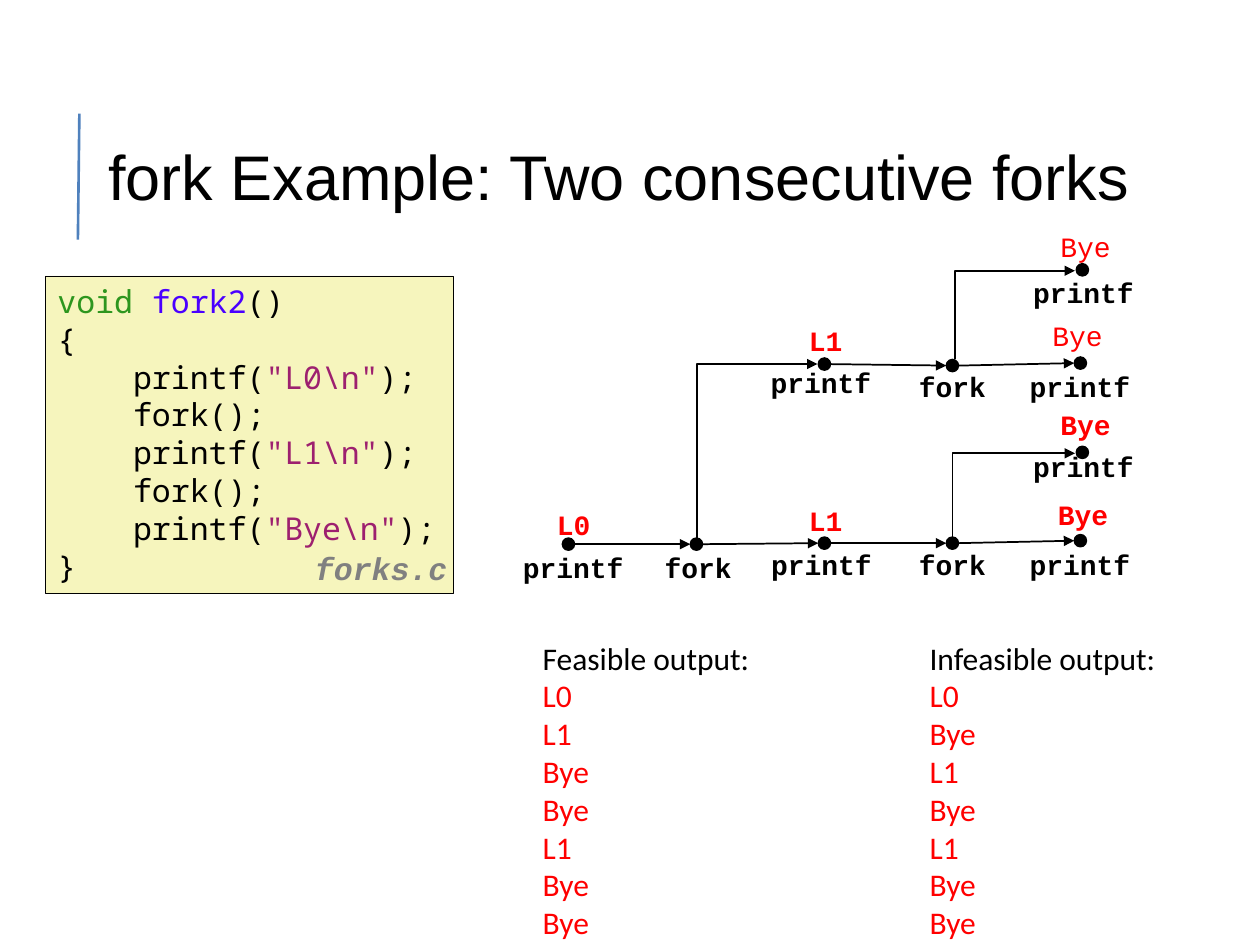
from lxml import etree
from pptx import Presentation
from pptx.dml.color import RGBColor
from pptx.enum.shapes import MSO_CONNECTOR as CONN, MSO_SHAPE as SHAPE
from pptx.enum.text import MSO_ANCHOR as ANCHOR, MSO_AUTO_SIZE as AUTO, PP_ALIGN as ALIGN
from pptx.oxml.ns import qn
from pptx.util import Cm, Pt

COLORS = {
    "black": "000000", "red": "FF0000", "grey": "808080", "accent": "4F81BD",
    "paper": "F6F5BD", "keyword": "2D961E", "name": "4A00FF", "string": "9D206F",
}
FORMATS = {
    "title": {"name": "Arial", "size": Pt(36)},
    "code": {"name": "Noto Sans Mono", "size": Pt(18)},
    "label": {"name": "Courier New", "size": Pt(16), "bold": True},
    "plain": {"name": "Courier New", "size": Pt(16), "bold": False},
    "file": {"name": "Courier New", "size": Pt(18), "bold": True, "italic": True},
    "output": {"name": "Calibri", "size": Pt(18)},
}
DOT = 0.25


def rgb(color):
    return RGBColor.from_string(COLORS[color])


class Deck:
    def __init__(self):
        self.prs = Presentation()
        self.prs.slide_width, self.prs.slide_height = Cm(25.4), Cm(19.05)
        self.s = self.prs.slides.add_slide(self.prs.slide_layouts[5])

    def fill_text(self, tf, lines, fmt, align=ALIGN.LEFT, spacing=None):
        """Each line is a list of (text, color) runs."""
        for i, line in enumerate(lines):
            p = tf.add_paragraph() if i else tf.paragraphs[0]
            p.alignment = align
            if spacing:
                p.line_spacing = spacing
            for text, color in line:
                r = p.add_run()
                r.text = text
                for key, value in FORMATS[fmt].items():
                    setattr(r.font, key, value)
                r.font.color.rgb = rgb(color)

    def title(self, text, *box):
        sp = self.s.shapes.title
        sp.left, sp.top, sp.width, sp.height = map(Cm, box)
        tf = sp.text_frame
        tf.margin_left = tf.margin_right = tf.margin_top = tf.margin_bottom = 0
        tf.vertical_anchor, tf.auto_size = ANCHOR.MIDDLE, AUTO.NONE
        self.fill_text(tf, [[(text, "black")]], "title", spacing=0.9)

    def text(self, lines, box, fmt, **style):
        sp = self.s.shapes.add_textbox(*map(Cm, box))
        tf = sp.text_frame
        tf.word_wrap, tf.auto_size = False, AUTO.SHAPE_TO_FIT_TEXT
        self.fill_text(tf, lines, fmt, **style)

    def label(self, text, left, top, width, color="black", fmt="label"):
        self.text([[(text, color)]], (left, top, width, 0.94), fmt, align=ALIGN.CENTER)

    def shape(self, kind, box, fill, weight):
        sp = self.s.shapes.add_shape(kind, *map(Cm, box))
        sp.shadow.inherit = False
        sp.fill.solid()
        sp.fill.fore_color.rgb = rgb(fill)
        sp.line.color.rgb = rgb("black")
        sp.line.width = Pt(weight)
        return sp

    def code(self, lines, *box):
        tf = self.shape(SHAPE.RECTANGLE, box, "paper", 0.25).text_frame
        tf.word_wrap, tf.vertical_anchor = False, ANCHOR.TOP
        self.fill_text(tf, lines, "code")

    def dot(self, x, y):
        self.shape(SHAPE.OVAL, (x - DOT / 2, y - DOT / 2, DOT, DOT), "black", 0.75)

    def line(self, start, end, color="black", weight=1, arrow=True, kind=CONN.STRAIGHT):
        c = self.s.shapes.add_connector(kind, *map(Cm, (*start, *end)))
        c.line.color.rgb = rgb(color)
        c.line.width = Pt(weight)
        spPr = c._element.spPr
        if arrow:
            etree.SubElement(spPr.find(qn("a:ln")), qn("a:tailEnd"), type="triangle")
        etree.SubElement(spPr, qn("a:effectLst"))
        return c

    def elbow(self, start, end):
        """Up, then right: a two-part bend turned by a quarter about its centre."""
        (x1, y1), (x2, y2) = start, end
        cx, cy = (x1 + x2) / 2, (y1 + y2) / 2
        dx, dy = (y1 - y2) / 2, (x2 - x1) / 2
        c = self.line((cx + dx, cy + dy), (cx - dx, cy - dy), kind=CONN.ELBOW)
        spPr = c._element.spPr
        spPr.find(qn("a:xfrm")).set("rot", "5400000")
        spPr.find(qn("a:prstGeom")).set("prst", "bentConnector2")


def call(name, arg=None):
    if arg is None:
        return [(f"    {name}();", "black")]
    return [(f"    {name}(", "black"), (f'"{arg}\\n"', "string"), (");", "black")]


def main():
    deck = Deck()

    # Title with its side rule
    deck.line((1.57, 4.83), (1.6, 2.29), "accent", 1.5, arrow=False)
    deck.title("fork Example: Two consecutive forks", 2.18, 2.84, 21.79, 1.6)

    # Code listing
    deck.code([
        [("void ", "keyword"), ("fork2", "name"), ("()", "black")],
        [("{", "black")],
        call("printf", "L0"), call("fork"), call("printf", "L1"),
        call("fork"), call("printf", "Bye"),
        [("}", "black")],
    ], 0.91, 5.56, 8.23, 6.4)
    deck.text([[("forks.c", "grey")]], (6.1, 11, 3.35, 0.99), "file", spacing=0.94)

    # Process graph: dots in columns, arrows between neighbours
    cols = [11.46 + 2.58 * i for i in range(5)]
    parent = list(zip(cols, (10.97, 10.97, 10.95, 10.95, 10.9)))
    child = list(zip(cols[2:], (7.34, 7.37, 7.32)))
    for row in (parent, child):
        for (x1, y1), (x2, y2) in zip(row, row[1:]):
            deck.line((x1 + DOT / 2, y1), (x2 - DOT / 2, y2))
    for x, y in parent + child + [(21.82, 9.12), (21.82, 5.44)]:
        deck.dot(x, y)
    for start, end in (((14.05, 10.85), (16.48, 7.34)),
                       ((19.2, 10.92), (21.67, 9.14)),
                       ((19.25, 7.24), (21.67, 5.46))):
        deck.elbow(start, end)

    # Calls below the dots
    for text, left, top, width in (
            ("printf", 10.26, 10.97, 2.59), ("fork", 13.11, 10.97, 1.93),
            ("printf", 15.24, 10.92, 2.64), ("fork", 17.88, 10.92, 2.64),
            ("printf", 20.45, 10.92, 2.64), ("printf", 20.52, 8.94, 2.64),
            ("printf", 15.14, 7.24, 2.82), ("fork", 17.88, 7.32, 2.64),
            ("printf", 20.45, 7.32, 2.64), ("printf", 20.52, 5.44, 2.64)):
        deck.label(text, left, top, width)

    # Printed words above the dots
    for text, left, top, width, fmt in (
            ("L0", 10.97, 10.11, 1.19, "label"), ("L1", 16.05, 10.03, 1.19, "label"),
            ("L1", 16.05, 6.4, 1.19, "label"), ("Bye", 21.06, 9.91, 1.55, "label"),
            ("Bye", 21.11, 8.1, 1.55, "label"), ("Bye", 20.62, 6.3, 2.21, "plain"),
            ("Bye", 20.78, 4.5, 2.21, "plain")):
        deck.label(text, left, top, width, "red", fmt)

    # Output orders
    for head, words, left, width in (
            ("Feasible output:", "L0 L1 Bye Bye L1 Bye Bye", 10.69, 4.83),
            ("Infeasible output:", "L0 Bye L1 Bye L1 Bye Bye", 18.49, 5.26)):
        lines = [[(head, "black")]] + [[(word, "red")] for word in words.split()]
        deck.text(lines, (left, 12.75, width, 6.4), "output")

    deck.prs.save("out.pptx")


if __name__ == "__main__":
    main()
